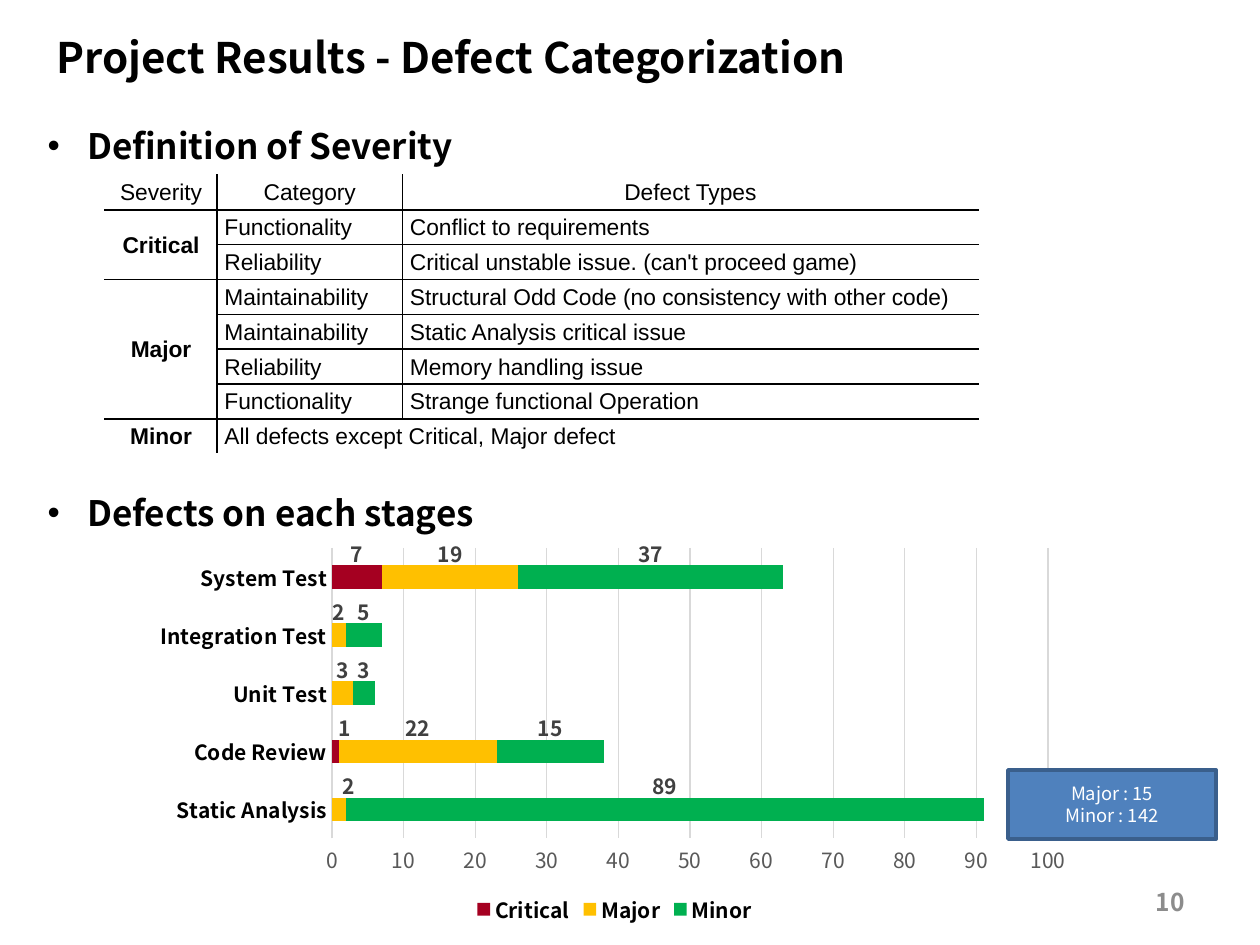
import pptx
import pptx.chart.data
import pptx.dml.color
import pptx.enum.chart
import pptx.enum.shapes
import pptx.enum.text
import pptx.oxml
import pptx.oxml.ns
import pptx.util

Pt = pptx.util.Pt
qn = pptx.oxml.ns.qn
ALIGN = pptx.enum.text.PP_ALIGN
MIDDLE = pptx.enum.text.MSO_ANCHOR.MIDDLE

COLORS = {"text": "000000", "paper": "FFFFFF", "number": "8C8C8C", "grid": "D9D9D9",
          "axis": "595959", "label": "404040", "note": "4F81BD", "note line": "3A5F8C",
          "Critical": "A50021", "Major": "FFC000", "Minor": "00B050"}
SANS, ARIAL = "Noto Sans CJK KR", "Arial"

SEVERITIES = [
    ("Severity", "Category", "Defect Types"),
    ("Critical", "Functionality", "Conflict to requirements"),
    ("", "Reliability", "Critical unstable issue. (can't proceed game)"),
    ("Major", "Maintainability", "Structural Odd Code (no consistency with other code)"),
    ("", "Maintainability", "Static Analysis critical issue"),
    ("", "Reliability", "Memory handling issue"),
    ("", "Functionality", "Strange functional Operation"),
    ("Minor", "All defects except Critical, Major defect", ""),
]
MERGES = [((1, 0), (2, 0)), ((3, 0), (6, 0)), ((7, 1), (7, 2))]
COLUMN_WIDTHS = (64, 106, 329)
ROW_HEIGHT = 19.9

STAGES = ["Static Analysis", "Code Review", "Unit Test", "Integration Test", "System Test"]
DEFECTS = {"Critical": (None, 1, None, None, 7),
           "Major": (2, 22, 3, 2, 19),
           "Minor": (89, 15, 3, 5, 37)}
# Labels beside very narrow bars move right as well as up.
SHIFTED_LABELS = {("Critical", 1), ("Major", 0)}


def rgb(name):
    return pptx.dml.color.RGBColor.from_string(COLORS[name])


def assign(target, **values):
    for attribute, value in values.items():
        setattr(target, attribute, value)


def style(font, size, color="text", bold=False, name=SANS):
    assign(font, size=Pt(size), bold=bold, name=name)
    font.color.rgb = rgb(color)


def place(shape, box):
    assign(shape, **dict(zip(("left", "top", "width", "height"), map(Pt, box))))


def add_title(title, box):
    place(title, box)
    title.text_frame.text = "Project Results - Defect Categorization"
    assign(title.text_frame, auto_size=pptx.enum.text.MSO_AUTO_SIZE.NONE,
           vertical_anchor=MIDDLE)
    heading = title.text_frame.paragraphs[0]
    heading.alignment = ALIGN.LEFT
    style(heading.font, 24, bold=True)


def add_heading(body, box, text):
    place(body, box)
    body.text_frame.text = text
    body.text_frame.auto_size = pptx.enum.text.MSO_AUTO_SIZE.NONE
    heading = body.text_frame.paragraphs[0]
    assign(heading, line_spacing=1.3, space_before=Pt(0))
    properties = heading._p.get_or_add_pPr()
    properties.set("marL", str(Pt(22.5)))
    properties.set("indent", str(Pt(-22.5)))
    bullet = pptx.oxml.parse_xml(f'<a:buChar {pptx.oxml.ns.nsdecls("a")} char="•"/>')
    properties.append(bullet)
    style(heading.font, 20, bold=True)


def add_border(cell, side, color):
    cell._tc.get_or_add_tcPr().append(pptx.oxml.parse_xml(
        f'<a:ln{side} {pptx.oxml.ns.nsdecls("a")} w="{Pt(1)}"><a:solidFill>'
        f'<a:srgbClr val="{COLORS[color]}"/></a:solidFill></a:ln{side}>'))


def fill_cell(cell, row, column, text):
    """Write one cell; borders are black inside the table and white on its rim."""
    rim = {"L": column == 0,
           "R": column + cell.span_width == len(COLUMN_WIDTHS),
           "T": row == 0,
           "B": row + cell.span_height == len(SEVERITIES)}
    for side, outer in rim.items():
        add_border(cell, side, "paper" if outer else "text")
    cell.fill.background()
    centred = row == 0 or column == 0
    assign(cell, vertical_anchor=MIDDLE, margin_left=Pt(0.7 if centred else 4.3),
           margin_right=Pt(0.7), margin_top=Pt(0.7), margin_bottom=Pt(0))
    cell.text = text
    entry = cell.text_frame.paragraphs[0]
    entry.alignment = ALIGN.CENTER if centred else ALIGN.LEFT
    style(entry.font, 13, bold=column == 0 and row > 0, name=ARIAL)


def add_severity_table(slide, box):
    severity = slide.shapes.add_table(len(SEVERITIES), len(COLUMN_WIDTHS),
                                      *map(Pt, box)).table
    assign(severity, first_row=False, horz_banding=False)
    for column, width in zip(severity.columns, COLUMN_WIDTHS):
        column.width = Pt(width)
    for row in severity.rows:
        row.height = Pt(ROW_HEIGHT)
    for first, last in MERGES:
        severity.cell(*first).merge(severity.cell(*last))
    for row, entries in enumerate(SEVERITIES):
        for column, text in enumerate(entries):
            cell = severity.cell(row, column)
            if not cell.is_spanned:
                fill_cell(cell, row, column, text)


def manual_layout(inner="", **values):
    tags = "".join(f'<c:{key} val="{value}"/>' for key, value in values.items())
    return pptx.oxml.parse_xml(
        f'<c:layout {pptx.oxml.ns.nsdecls("c")}><c:manualLayout>{inner}{tags}'
        '</c:manualLayout></c:layout>')


def label_series(series):
    """Show every value just above its bar."""
    labels = series.data_labels
    centre = pptx.enum.chart.XL_LABEL_POSITION.CENTER
    assign(labels, show_value=True, position=centre)
    style(labels.font, 12, "label", True)
    for stage, value in enumerate(series.values):
        if value is not None:
            label = series.points[stage].data_label
            label.position = centre
            style(label.font, 12, "label", True)
    for label in series._element.iter(qn("c:dLbl")):
        index = label.find(qn("c:idx"))
        shifted = (series.name, int(index.get("val"))) in SHIFTED_LABELS
        index.addnext(manual_layout(x=0.01 if shifted else 0, y=-0.06))


def add_defect_chart(slide, box):
    defects = pptx.chart.data.CategoryChartData()
    defects.categories = STAGES
    for severity, counts in DEFECTS.items():
        defects.add_series(severity, counts)
    chart = slide.shapes.add_chart(pptx.enum.chart.XL_CHART_TYPE.BAR_STACKED,
                                   *map(Pt, box), defects).chart
    assign(chart, has_title=False, has_legend=True)
    style(chart.font, 12)
    assign(chart.legend, position=pptx.enum.chart.XL_LEGEND_POSITION.BOTTOM,
           include_in_layout=False)
    style(chart.legend.font, 12, bold=True)

    stages, counts = chart.category_axis, chart.value_axis
    for axis in (stages, counts):
        assign(axis, major_tick_mark=pptx.enum.chart.XL_TICK_MARK.NONE,
               minor_tick_mark=pptx.enum.chart.XL_TICK_MARK.NONE)
    style(stages.tick_labels.font, 12, bold=True)
    style(counts.tick_labels.font, 12, "axis")
    assign(counts, minimum_scale=0, maximum_scale=100, major_unit=10,
           has_major_gridlines=True)
    counts.format.line.fill.background()
    for line in (stages.format.line, counts.major_gridlines.format.line):
        line.color.rgb = rgb("grid")
        line.width = Pt(0.75)

    plot = chart.plots[0]
    assign(plot, gap_width=150, overlap=100, vary_by_categories=False)
    for series in plot.series:
        series.format.fill.solid()
        series.format.fill.fore_color.rgb = rgb(series.name)
        label_series(series)
    area = chart._chartSpace.find(".//" + qn("c:plotArea"))
    for layout in area.findall(qn("c:layout")):
        area.remove(layout)
    area.insert(0, manual_layout('<c:layoutTarget val="inner"/>', xMode="edge",
                                 yMode="edge", x=0.2, y=0.04, w=0.76, h=0.73))


def add_totals_note(slide, box):
    note = slide.shapes.add_shape(pptx.enum.shapes.MSO_SHAPE.RECTANGLE, *map(Pt, box))
    note.shadow.inherit = False
    note.fill.solid()
    note.fill.fore_color.rgb = rgb("note")
    note.line.color.rgb = rgb("note line")
    note.line.width = Pt(2)
    note.text_frame.text = "Major : 15\nMinor : 142"
    note.text_frame.vertical_anchor = MIDDLE
    for total in note.text_frame.paragraphs:
        total.alignment = ALIGN.CENTER
        style(total.font, 10.5, "paper")


def add_severity_section(slide, body, box):
    left, top, width, _ = box
    add_heading(body, (left, top, width, 39), "Definition of Severity")
    add_severity_table(slide, (left + 40, top + 39.5, sum(COLUMN_WIDTHS),
                               ROW_HEIGHT * len(SEVERITIES)))


def add_stages_section(slide, body, box):
    left, top, width, height = box
    add_heading(body, (left, top, 482, 39), "Defects on each stages")
    add_defect_chart(slide, (left + 62, top + 34, 538.5, height - 34))
    add_totals_note(slide, (left + width - 119, top + 170, 119, 39.5))


def add_page_number(slide, box):
    number = slide.shapes.add_textbox(*map(Pt, box)).text_frame
    assign(number, text="10", word_wrap=True, vertical_anchor=MIDDLE)
    number.paragraphs[0].alignment = ALIGN.RIGHT
    style(number.paragraphs[0].font, 14, "number", True)


def main():
    deck = pptx.Presentation()
    assign(deck, slide_width=Pt(720), slide_height=Pt(540))
    slide = deck.slides.add_slide(deck.slide_layouts.get_by_name("Two Content"))
    title, severity, stages = slide.placeholders
    add_page_number(slide, (516, 500.5, 168, 29))
    add_title(title, (25, 14.5, 550, 36))
    add_severity_section(slide, severity, (20, 60.5, 669, 199))
    add_stages_section(slide, stages, (20, 270, 675, 261.5))
    deck.save("out.pptx")


if __name__ == "__main__":
    main()
